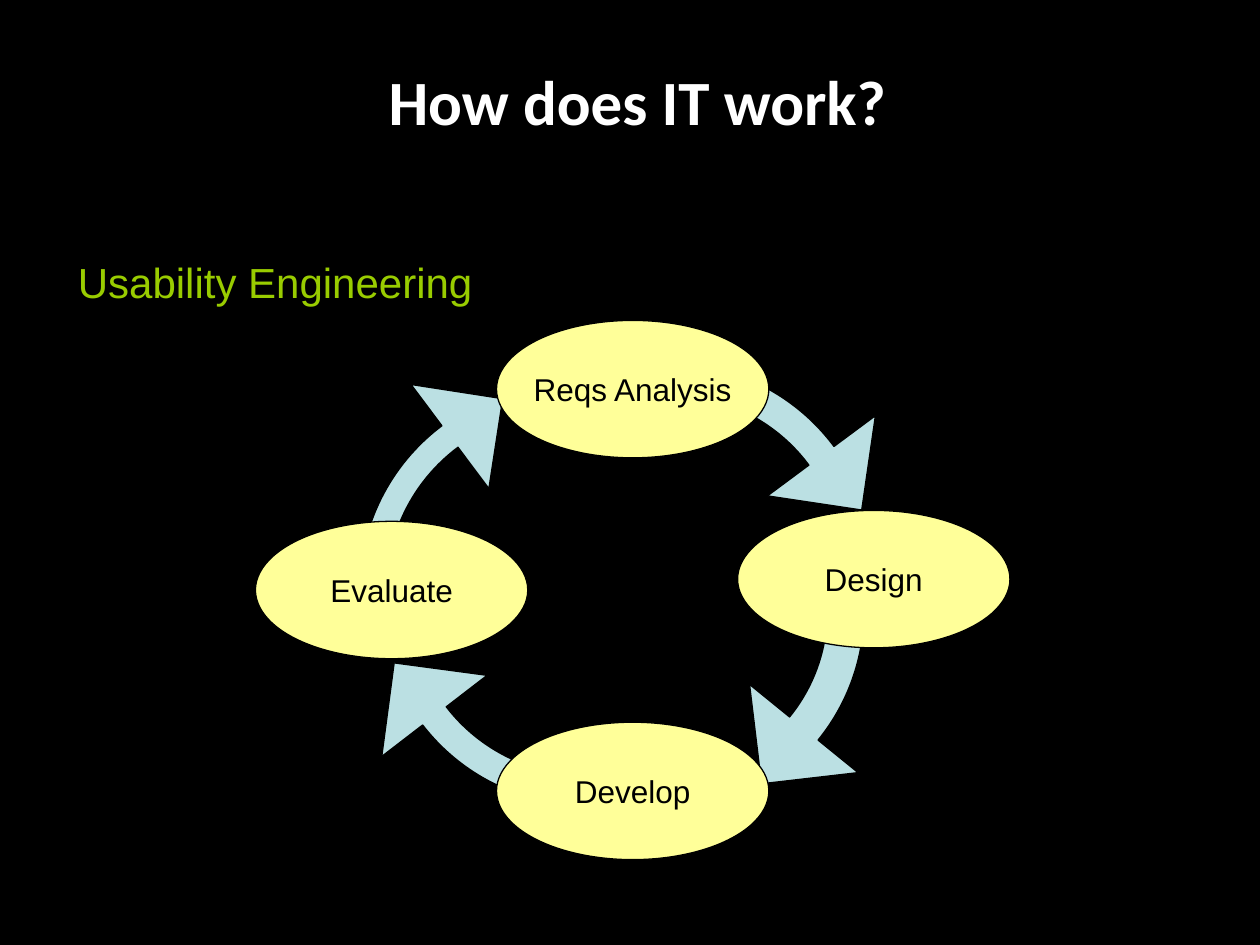
from math import ceil, cos, floor, radians, sin, tan

from lxml import etree
from pptx import Presentation
from pptx.dml.color import RGBColor
from pptx.enum import shapes, text
from pptx.oxml.ns import qn
from pptx.util import Cm, Pt

BLACK = RGBColor(0x00, 0x00, 0x00)
WHITE = RGBColor(0xFF, 0xFF, 0xFF)
GREEN = RGBColor(0x99, 0xCC, 0x00)
YELLOW = RGBColor(0xFF, 0xFF, 0x99)
BLUE = RGBColor(0xBB, 0xE0, 0xE3)

# Arrow frame, radii and head sizes in cm
WIDE, HIGH = 8.23, 8.31
OUTER, TIP, BARB = 4.14, 4.06, 1.04

# Centre x, centre y, inner radius, then the angles in degrees clockwise
# from east: start, end, sweep of the head, turn of the frame
ARROWS = [
    (13.49, 11.47, 3.51, -70.6, -36.6, 19.6, 0),
    (11.39, 11.90, 3.60, 162.4, 233.2, 18.8, 0),
    (13.28, 12.31, 3.40, 8.4, 39.1, 20.2, 0),
    (11.80, 12.09, 3.54, 107.6, 142.4, 19.3, 90),
]
STAGES = [
    ("Reqs Analysis", 10.01, 6.46),
    ("Evaluate", 5.15, 10.51),
    ("Design", 14.87, 10.29),
    ("Develop", 10.01, 14.56),
]


def add_run(para, words, font, size, color, bold=False):
    run = para.add_run()
    run.text = words
    run.font.name = font
    run.font.size = Pt(size)
    run.font.bold = bold
    run.font.color.rgb = color


def paint(shape, fill):
    shape.shadow.inherit = False
    shape.fill.solid()
    shape.fill.fore_color.rgb = fill
    shape.line.color.rgb = BLACK
    shape.line.width = Pt(0.75)


def add_title(slide, words):
    title = slide.shapes.title
    title.left, title.top = Cm(1.27), Cm(0.43)
    title.width, title.height = Cm(23.16), Cm(3.18)
    frame = title.text_frame
    frame.vertical_anchor = text.MSO_ANCHOR.MIDDLE
    para = frame.paragraphs[0]
    para.alignment = text.PP_ALIGN.CENTER
    add_run(para, words, "Calibri", 36, WHITE, True)


def add_label(slide, words):
    box = slide.shapes.add_textbox(Cm(1.32), Cm(5.04), Cm(8.46), Cm(1.27))
    frame = box.text_frame
    frame.word_wrap = False
    frame.auto_size = text.MSO_AUTO_SIZE.SHAPE_TO_FIT_TEXT
    add_run(frame.paragraphs[0], words, "Arial", 24, GREEN)


def spot(radius, angle):
    turn = radians(angle)
    return radius * cos(turn), radius * sin(turn)


def bend(radius, start, end):
    """Return the Bezier curves of an arc, split at each quarter turn."""
    low, high = sorted((start, end))
    cuts = [90 * i for i in range(floor(low / 90) + 1, ceil(high / 90))]
    stops = sorted([low, *cuts, high], reverse=start > end)
    curves = []
    for a, b in zip(stops, stops[1:]):
        pull = 4 / 3 * tan(radians(b - a) / 4)
        (ax, ay), (bx, by) = spot(radius, a), spot(radius, b)
        curves.append(("cubicBezTo", [(ax - pull * ay, ay + pull * ax),
                                      (bx + pull * by, by - pull * bx),
                                      (bx, by)]))
    return curves


def add_arrow(group, x, y, inner, start, end, sweep, turn):
    """Draw a curved arrow that runs clockwise round the centre x, y."""
    wide, high = (HIGH, WIDE) if turn else (WIDE, HIGH)
    left, top = Cm(x - wide / 2), Cm(y - high / 2)
    right, base = left + Cm(wide), top + Cm(high)
    pen = group.shapes.build_freeform(left, top)
    pen.add_line_segments([(right, top), (right, base)])
    arrow = pen.convert_to_shape()

    start, end = start - turn, end - turn
    steps = [
        ("moveTo", [spot(inner, end)]),
        *bend(inner, end, start),
        ("lnTo", [spot(OUTER, start)]),
        *bend(OUTER, start, end),
        ("lnTo", [spot(OUTER + BARB, end)]),
        ("lnTo", [spot(TIP, end + sweep)]),
        ("lnTo", [spot(inner - BARB, end)]),
        ("lnTo", [spot(inner, end)]),
        ("close", []),
    ]
    outline = next(arrow.element.iter(qn("a:path")))
    for child in list(outline):
        outline.remove(child)
    for kind, points in steps:
        step = etree.SubElement(outline, qn("a:" + kind))
        for px, py in points:
            etree.SubElement(step, qn("a:pt"), x=str(Cm(px + wide / 2)),
                             y=str(Cm(py + high / 2)))
    arrow.rotation = turn
    paint(arrow, BLUE)


def add_stage(group, words, left, top):
    oval = group.shapes.add_shape(
        shapes.MSO_SHAPE.OVAL, Cm(left), Cm(top), Cm(5.49), Cm(2.77))
    paint(oval, YELLOW)
    frame = oval.text_frame
    frame.word_wrap = False
    frame.vertical_anchor = text.MSO_ANCHOR.MIDDLE
    para = frame.paragraphs[0]
    para.alignment = text.PP_ALIGN.CENTER
    add_run(para, words, "Arial", 18, BLACK)


def main():
    deck = Presentation()
    deck.slide_width, deck.slide_height = Cm(25.4), Cm(19.05)
    slide = deck.slides.add_slide(deck.slide_layouts[5])
    back = slide.background.fill
    back.solid()
    back.fore_color.rgb = BLACK

    add_title(slide, "How does IT work?")
    add_label(slide, "Usability Engineering")
    cycle = slide.shapes.add_group_shape()
    for arrow in ARROWS[:3]:
        add_arrow(cycle, *arrow)
    for stage in STAGES[:3]:
        add_stage(cycle, *stage)
    add_arrow(cycle, *ARROWS[3])
    add_stage(cycle, *STAGES[3])
    deck.save("out.pptx")


if __name__ == "__main__":
    main()
